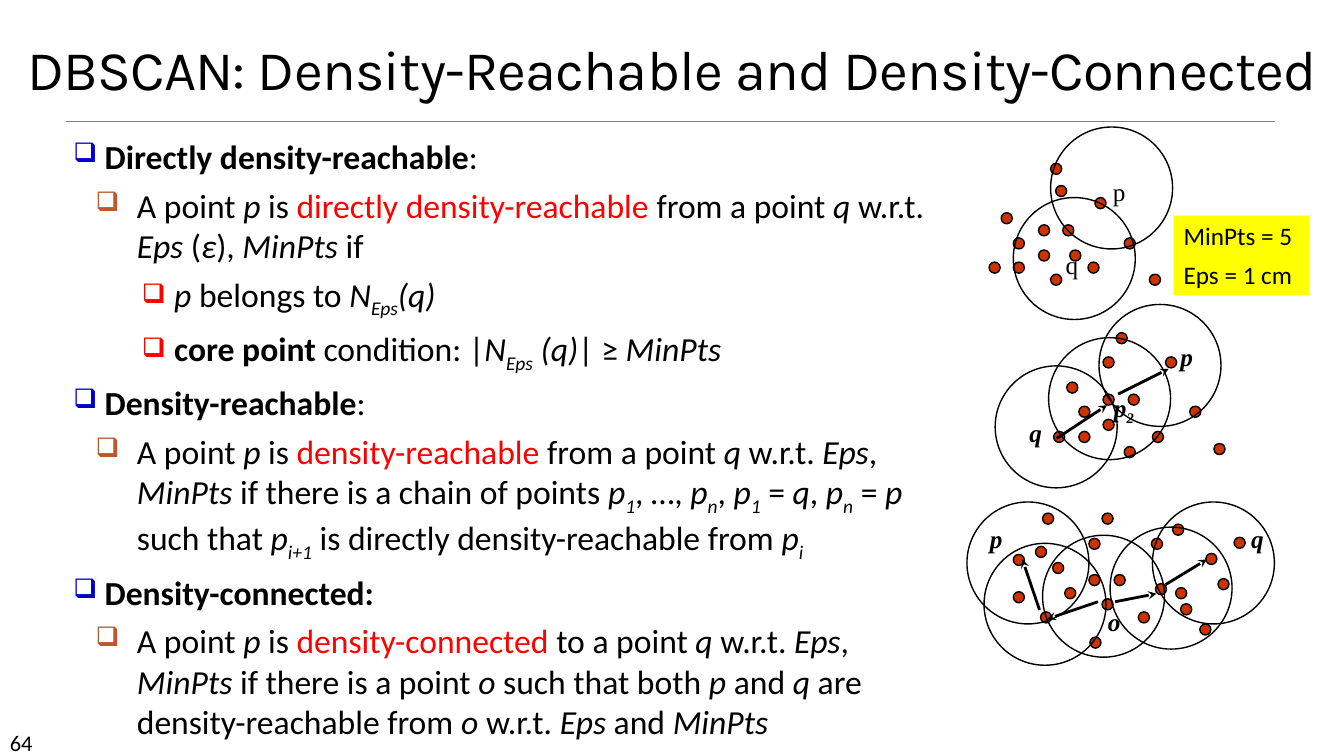
from dataclasses import dataclass

from lxml import etree
from pptx import Presentation
from pptx.dml.color import RGBColor
from pptx.enum.shapes import MSO_CONNECTOR, MSO_SHAPE
from pptx.enum.text import MSO_ANCHOR, PP_ALIGN
from pptx.oxml.ns import qn
from pptx.util import Inches, Pt

OVAL, RECT = MSO_SHAPE.OVAL, MSO_SHAPE.RECTANGLE
LINE = MSO_CONNECTOR.STRAIGHT
TOP, LOW = MSO_ANCHOR.TOP, MSO_ANCHOR.BOTTOM
LEFT, MID = PP_ALIGN.LEFT, PP_ALIGN.CENTER


@dataclass
class Theme:
    head: str = "Karla"
    body: str = "Calibri"
    math: str = "Times New Roman"
    black: str = "000000"
    red: str = "FF0000"
    dot: str = "CC3300"
    note: str = "FFFF00"
    rule: str = "808080"
    marks: tuple = ("0000CC", "BD582C", None, "FF0000")
    title: int = 40
    text: int = 24
    label: int = 18
    page: int = 16


INDENT = {0: (0.31, -0.31), 1: (0.63, -0.41), 3: (1, -0.32)}
DOT, RING = 0.11, 1.21

POINTS = [
    (0, "*Directly density-reachable*:"),
    (1, "A point /p/ is ~directly density-reachable ~from a point /q/ w.r.t. "
        "/Eps /(/ε/), /MinPts/ if"),
    (3, "/p/ belongs to /N_Eps_(q)/"),
    (3, "*core point *condition: |/N_Eps_ (q)/| ≥ /MinPts/"),
    (0, "*Density-reachable*:"),
    (1, "A point /p/ is ~density-reachable~ from a point /q/ w.r.t. /Eps/, "
        "/MinPts/ if there is a chain of points /p_1_/, …, /p_n_/, "
        "/p_1_/ = /q/, /p_n_/ = /p/ such that /p_i+1_/ is directly "
        "density-reachable from /p_i_/"),
    (0, "*Density-connected:*"),
    (1, "A point /p/ is ~density-connected~ to a point /q/ w.r.t. /Eps/, "
        "/MinPts/ if there is a point /o /such that both /p/ and /q/ are "
        "density-reachable from /o/ w.r.t. /Eps/ and /MinPts/"),
]

DIRECT = dict(
    dots=[(9.93, 2.11), (10.3, 2.23), (10.47, 1.84), (9.81, 2.6), (10.05, 2.36),
          (10.05, 2.6), (10.42, 2.72), (10.42, 1.62), (11.15, 2.36),
          (10.86, 1.96), (10.3, 2.48), (10.54, 2.23), (10.79, 2.6),
          (11.4, 2.72), (10.61, 2.48)],
    rings=[(10.42, 1.26), (10.05, 1.96)],
    labels=[("p", 10.94, 1.7), ("q", 10.47, 2.42)],
    arrows=[])

REACH = dict(
    dots=[(10.58, 3.79), (10.94, 3.91), (10.94, 3.54), (10.45, 4.28),
          (10.7, 4.03), (10.7, 4.28), (11.15, 4.43), (11.07, 3.3),
          (11.8, 4.03), (11.56, 3.54), (10.94, 4.16), (11.19, 3.91),
          (11.43, 4.28), (12.04, 4.4)],
    rings=[(10.4, 3.35), (9.87, 3.63), (10.9, 3.02)],
    labels=[("*/p/*", 11.61, 3.34), ("*/q/*", 10.11, 4.09),
            ("*/p_2_/*", 10.95, 3.84)],
    arrows=[(11.09, 3.91, 11.59, 3.66), (10.48, 4.35, 10.98, 4.02)])

CONNECT = dict(
    dots=[(10.44, 5.58), (10.8, 5.7), (10.8, 5.34), (10.32, 6.07),
          (10.56, 5.83), (10.81, 6.32), (10.93, 5.94), (10.93, 5.09),
          (11.66, 5.83), (11.42, 5.34), (10.05, 5.87), (11.05, 5.7),
          (11.29, 6.07), (11.9, 6.19), (12.08, 5.74), (11.46, 5.79),
          (11.71, 5.99), (12.24, 5.33), (11.63, 5.2), (11.96, 5.49),
          (10.27, 5.42), (10.05, 5.5), (10.34, 5.09)],
    rings=[(9.76, 5.39), (10.34, 5.31), (11.01, 5.23), (11.43, 4.98),
           (9.59, 4.98)],
    labels=[("*/p/*", 9.72, 5.14), ("*/q/*", 12.31, 5.14),
            ("*/o/*", 10.89, 5.97)],
    arrows=[(10.89, 5.97, 10.39, 6.14), (11.06, 5.97, 11.47, 5.89),
            (10.31, 6.05, 10.14, 5.55), (11.56, 5.8, 11.97, 5.55)])


def split(text):
    on, part = set(), ""
    for char in text:
        if char in "*/_~":
            if part:
                yield part, set(on)
            on ^= {char}
            part = ""
        else:
            part += char
    if part:
        yield part, on


def write(para, text, font, size, color, accent=None, align=LEFT, before=0,
          pitch=None, track=None):
    para.alignment = align
    para.space_before = Pt(before)
    if pitch:
        para.line_spacing = pitch
    for part, marks in split(text):
        run = para.add_run()
        run.text = part
        face = run.font
        face.name, face.size = font, Pt(size)
        face.bold, face.italic = "*" in marks, "/" in marks
        face.color.rgb = RGBColor.from_string(accent if "~" in marks else color)
        props = run._r.get_or_add_rPr()
        if "_" in marks:
            props.set("baseline", "-25000")
        if track:
            props.set("spc", str(track))


class Board:
    def __init__(self, deck, theme):
        self.theme = theme
        self.slide = deck.slides.add_slide(deck.slide_layouts[5])
        self.pen = self.slide.shapes

    def group(self):
        self.pen = self.slide.shapes.add_group_shape().shapes

    def frame(self, shape, anchor=TOP):
        frame = shape.text_frame
        frame.word_wrap = True
        frame.vertical_anchor = anchor
        frame.margin_left = frame.margin_right = Inches(0.1)
        frame.margin_top = frame.margin_bottom = Inches(0.05)
        return frame

    def title(self, text, *box):
        t, shape = self.theme, self.slide.shapes.title
        shape.left, shape.top, shape.width, shape.height = map(Inches, box)
        write(self.frame(shape, LOW).paragraphs[0], text, t.head, t.title,
              t.black, align=MID, pitch=0.85, track=-50)

    def text(self, text, *box, font, size):
        frame = self.frame(self.pen.add_textbox(*map(Inches, box)))
        write(frame.paragraphs[0], text, font, size, self.theme.black)

    def list(self, items, *box):
        t = self.theme
        frame = self.frame(self.pen.add_textbox(*map(Inches, box)))
        for i, (level, text) in enumerate(items):
            para = frame.add_paragraph() if i else frame.paragraphs[0]
            para.level = level
            self.bullet(para, level)
            write(para, text, t.body, t.text, t.black, accent=t.red,
                  before=6 if i else 0)

    def bullet(self, para, level):
        props = para._p.get_or_add_pPr()
        left, hang = INDENT[level]
        props.set("marL", str(Inches(left)))
        props.set("indent", str(Inches(hang)))
        tint = etree.SubElement(props, qn("a:buClr"))
        etree.SubElement(tint, qn("a:srgbClr"), val=self.theme.marks[level])
        etree.SubElement(props, qn("a:buSzPct"), val="80000")
        etree.SubElement(props, qn("a:buChar"), char="❑")

    def shape(self, kind, *box, fill=None, edge=None):
        shape = self.pen.add_shape(kind, *map(Inches, box))
        shape.shadow.inherit = False
        if fill:
            shape.fill.solid()
            shape.fill.fore_color.rgb = RGBColor.from_string(fill)
        else:
            shape.fill.background()
        if edge:
            shape.line.color.rgb = RGBColor.from_string(edge)
            shape.line.width = Pt(1)
        else:
            shape.line.fill.background()
        return shape

    def note(self, lines, *box):
        t = self.theme
        frame = self.frame(self.shape(RECT, *box, fill=t.note))
        for i, text in enumerate(lines):
            para = frame.add_paragraph() if i else frame.paragraphs[0]
            write(para, text, t.body, t.label, t.black, before=6 if i else 0)

    def line(self, *ends, color, width, arrow=False):
        line = self.pen.add_connector(LINE, *map(Inches, ends))
        line.line.color.rgb = RGBColor.from_string(color)
        line.line.width = Pt(width)
        if arrow:
            etree.SubElement(line.line._get_or_add_ln(), qn("a:tailEnd"),
                             type="stealth")
        etree.SubElement(line._element.spPr, qn("a:effectLst"))

    def graph(self, dots, rings, labels, arrows):
        t = self.theme
        self.group()
        for x, y in dots:
            self.shape(OVAL, x, y, DOT, DOT, fill=t.dot, edge=t.black)
        for x, y in rings:
            self.shape(OVAL, x, y, RING, RING, edge=t.black)
        for text, x, y in labels:
            wide = 0.67 if "_" in text else 0.42
            self.text(text, x, y, wide, 0.4, font=t.math, size=t.label)
        for ends in arrows:
            self.line(*ends, color=t.black, width=2, arrow=True)


def main():
    deck = Presentation()
    deck.slide_width, deck.slide_height = Inches(13.33), Inches(7.5)
    theme = Theme()
    board = Board(deck, theme)
    board.line(0.65, 1.2, 12.65, 1.2, color=theme.rule, width=0.5)
    board.text("64", 0, 7.18, 1.17, 0.3, font=theme.body, size=theme.page)
    board.title("DBSCAN: Density-Reachable and Density-Connected",
                0.09, 0.12, 13.15, 0.94)
    board.list(POINTS, 0.63, 1.3, 8.87, 5.94)
    for graph in (REACH, CONNECT, DIRECT):
        board.graph(**graph)
    board.note(["MinPts = 5", "Eps = 1 cm"], 11.64, 2.14, 1.35, 0.79)
    deck.save("out.pptx")


if __name__ == "__main__":
    main()
